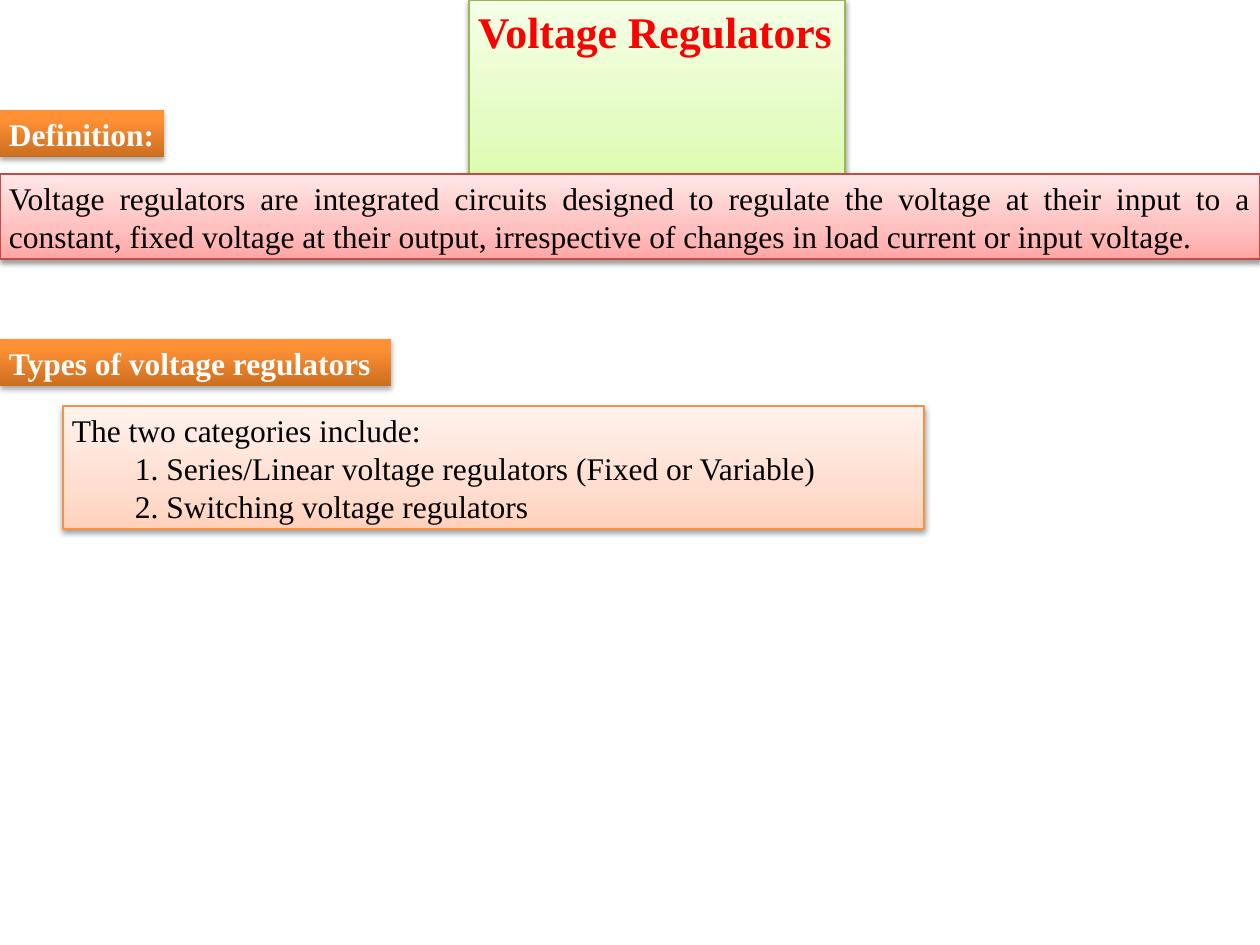
from lxml import etree
from pptx import Presentation
from pptx import util as u
from pptx.dml.color import RGBColor
from pptx.enum import shapes, text
from pptx.oxml.ns import qn

SCALE = 914400 / 126  # EMU in one px
THEME = {
    "font": "Times New Roman", "head": 25, "body": 18,
    "red": "FF0000", "black": "000000", "white": "FFFFFF",
    # gradient stops from bottom to top, outline, shadow alpha and distance
    "green": ([(0, "DAFDA7"), (35, "E4FCC2"), (100, "F5FFE7")], "98B955", 38, 20000),
    "pink": ([(0, "FFA6A5"), (35, "FFC0BF"), (100, "FFE7E7")], "BF4C48", 38, 20000),
    "peach": ([(0, "FFD2BD"), (35, "FFDED0"), (100, "FFF2ED")], "F69240", 38, 20000),
    "orange": ([(0, "CC6E20"), (80, "FF9034"), (100, "FF9136")], None, 35, 23000),
}


def px(n):
    return u.Emu(round(n * SCALE))


def write(box, lines, look, size="body", color="black", bold=False,
          wrap=True, align=text.PP_ALIGN.LEFT):
    """Style a box and fill it; each line is (text, level)."""
    stops, edge, alpha, dist = THEME[look]

    # Gradient fill
    box.fill.gradient()
    box.fill.gradient_angle = 90
    ramp = box._element.spPr.find(qn("a:gradFill")).find(qn("a:gsLst"))
    for old in list(ramp):
        ramp.remove(old)
    for pos, tint in stops:
        stop = etree.SubElement(ramp, qn("a:gs"), pos=str(pos * 1000))
        etree.SubElement(stop, qn("a:srgbClr"), val=tint)

    # Outline
    if edge:
        box.line.color.rgb = RGBColor.from_string(edge)
        box.line.width = u.Pt(0.75)
    else:
        box.line.fill.background()

    # Soft shadow straight below
    box.shadow.inherit = False
    fx = box._element.spPr.find(qn("a:effectLst"))
    drop = etree.SubElement(fx, qn("a:outerShdw"), blurRad="40000",
                            dist=str(dist), dir="5400000", rotWithShape="0")
    tone = etree.SubElement(drop, qn("a:srgbClr"), val=THEME["black"])
    etree.SubElement(tone, qn("a:alpha"), val=str(alpha * 1000))

    # Text
    frame = box.text_frame
    frame.margin_left = frame.margin_right = px(9)
    frame.margin_top = frame.margin_bottom = px(5)
    frame.vertical_anchor = text.MSO_ANCHOR.TOP
    frame.auto_size = text.MSO_AUTO_SIZE.SHAPE_TO_FIT_TEXT
    frame.word_wrap = wrap
    for i, (line, level) in enumerate(lines):
        para = frame.add_paragraph() if i else frame.paragraphs[0]
        para.alignment = align
        para.level = level
        if level:
            props = para._p.get_or_add_pPr()
            props.set("marL", str(px(63 * level)))
            props.set("indent", "0")
        run = para.add_run()
        run.text = line
        run.font.name = THEME["font"]
        run.font.size = u.Pt(THEME[size])
        run.font.bold = bold
        run.font.color.rgb = RGBColor.from_string(THEME[color])


deck = Presentation()
deck.slide_width, deck.slide_height = px(1260), px(945)
slide = deck.slides.add_slide(deck.slide_layouts[5])

# Title
title = slide.shapes.title
title.left, title.top, title.width, title.height = px(469), px(0), px(376), px(62)
write(title, [("Voltage Regulators", 0)], "green", size="head", color="red",
      bold=True, wrap=False)

# Section labels
for line, top, wide in [("Definition:", 110, 164),
                        ("Types of voltage regulators", 339, 391)]:
    label = slide.shapes.add_shape(shapes.MSO_SHAPE.RECTANGLE,
                                   px(0), px(top), px(wide), px(47))
    write(label, [(line, 0)], "orange", color="white", bold=True, wrap=False)

# Definition and list of types
panels = [
    ("pink", (0, 174, 1260, 85), [
        ("Voltage regulators are integrated circuits designed to regulate the "
         "voltage at their input to a constant, fixed voltage at their output, "
         "irrespective of changes in load current or input voltage.", 0)]),
    ("peach", (63, 406, 861, 123), [
        ("The two categories include:", 0),
        ("1. Series/Linear voltage regulators (Fixed or Variable)", 1),
        ("2. Switching voltage regulators", 1)]),
]
for look, area, lines in panels:
    panel = slide.shapes.add_shape(shapes.MSO_SHAPE.RECTANGLE, *map(px, area))
    write(panel, lines, look, align=text.PP_ALIGN.JUSTIFY)

deck.save("out.pptx")
